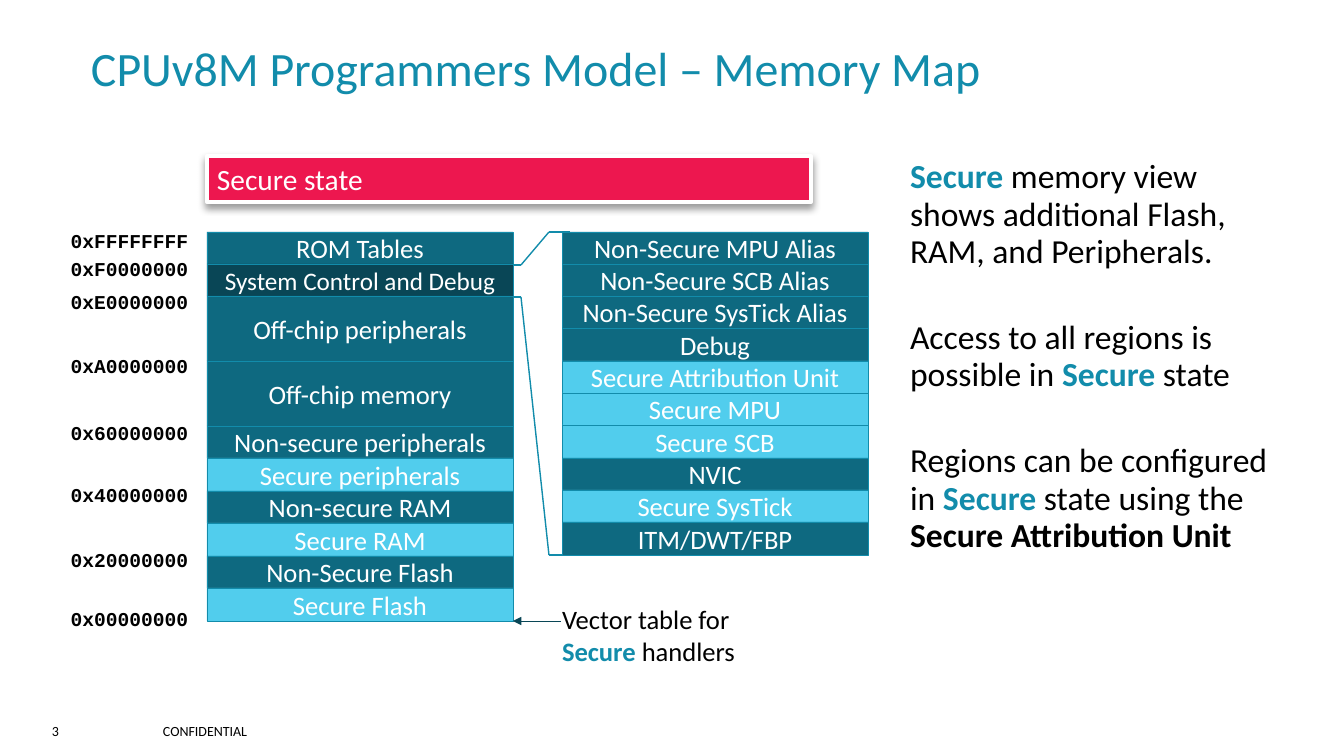
from dataclasses import dataclass
from itertools import pairwise

from lxml.etree import SubElement
from pptx import Presentation
from pptx.dml.color import RGBColor
from pptx.enum.shapes import MSO_CONNECTOR, MSO_SHAPE
from pptx.enum.text import MSO_ANCHOR, PP_ALIGN
from pptx.oxml.ns import qn
from pptx.util import Emu, Pt

SCALE = 914400 / 100.8
BLACK = RGBColor(0, 0, 0)
WHITE = RGBColor(255, 255, 255)
TEAL = RGBColor(0x12, 0x8C, 0xAB)
DEEP = RGBColor(0x0E, 0x69, 0x80)
DARK = RGBColor(0x09, 0x46, 0x56)
LIGHT = RGBColor(0x51, 0xCD, 0xED)
RED = RGBColor(0xED, 0x17, 0x4F)


@dataclass(frozen=True)
class Box:
    """A place on the slide, in pixels."""
    left: int
    top: int
    width: int
    height: int


@dataclass(frozen=True)
class Font:
    """The look of a run."""
    size: float
    color: RGBColor = BLACK
    bold: bool = False
    name: str = "Calibri"


@dataclass(frozen=True)
class Region:
    """One block of a memory map; units is its relative height."""
    label: str
    fill: RGBColor = DEEP
    units: int = 1
    size: int = 19


def px(value: int) -> Emu:
    """Turn pixels into EMU."""
    return Emu(round(value * SCALE))


def place(box: Box) -> tuple[Emu, Emu, Emu, Emu]:
    """Give the four lengths of a box in EMU."""
    return px(box.left), px(box.top), px(box.width), px(box.height)


def set_frame(frame, pad_x: int = 0, pad_y: int = 0) -> None:
    """Set wrapping and margins of a text frame."""
    frame.word_wrap = True
    frame.margin_left = frame.margin_right = px(pad_x)
    frame.margin_top = frame.margin_bottom = px(pad_y)


def add_run(para, text: str, font: Font) -> None:
    """Add one run to a paragraph."""
    run = para.add_run()
    run.text = text
    run.font.size, run.font.name = Pt(font.size), font.name
    run.font.bold = font.bold
    run.font.color.rgb = font.color


def add_text(slide, box: Box, pad_x: int = 0, pad_y: int = 0):
    """Add a text box and return its frame."""
    frame = slide.shapes.add_textbox(*place(box)).text_frame
    set_frame(frame, pad_x, pad_y)
    return frame


def add_label(slide, box: Box, text: str, font: Font) -> None:
    """Add a text box with a single run."""
    add_run(add_text(slide, box).paragraphs[0], text, font)


def add_block(slide, box: Box, fill: RGBColor, line: RGBColor, weight: float):
    """Add a filled rectangle without a shadow."""
    shape = slide.shapes.add_shape(MSO_SHAPE.RECTANGLE, *place(box))
    shape.shadow.inherit = False
    shape.fill.solid()
    shape.fill.fore_color.rgb = fill
    shape.line.color.rgb, shape.line.width = line, Pt(weight)
    return shape


def add_stack(slide, box: Box, regions: list[Region]) -> None:
    """Fill a box with regions from top to bottom."""
    total = sum(region.units for region in regions)
    start = 0
    for region in regions:
        end = start + region.units
        top, low = (box.top + box.height * unit // total for unit in (start, end))
        shape = add_block(slide, Box(box.left, top, box.width, low - top),
                          region.fill, TEAL, 0.5)
        set_frame(shape.text_frame)
        shape.text_frame.vertical_anchor = MSO_ANCHOR.MIDDLE
        para = shape.text_frame.paragraphs[0]
        para.alignment = PP_ALIGN.CENTER
        add_run(para, region.label, Font(region.size, WHITE))
        start = end


def add_line(slide, start: tuple[int, int], end: tuple[int, int],
             color: RGBColor, weight: float):
    """Add a straight line without a shadow."""
    line = slide.shapes.add_connector(
        MSO_CONNECTOR.STRAIGHT, *map(px, start), *map(px, end))
    line.line.color.rgb, line.line.width = color, Pt(weight)
    SubElement(line._element.spPr, qn("a:effectLst"))
    return line


def add_shadow(shape) -> None:
    """Drop a soft shadow below a shape."""
    effects = shape._element.spPr.find(qn("a:effectLst"))
    outer = SubElement(effects, qn("a:outerShdw"), blurRad=str(Pt(5.2)),
                       dist=str(Pt(3)), dir="5400000", rotWithShape="0")
    color = SubElement(outer, qn("a:srgbClr"), val=str(BLACK))
    SubElement(color, qn("a:alpha"), val="40000")


MAP = [
    Region("ROM Tables"),
    Region("System Control and Debug", DARK, size=18),
    Region("Off-chip peripherals", units=2),
    Region("Off-chip memory", units=2),
    Region("Non-secure peripherals"), Region("Secure peripherals", LIGHT),
    Region("Non-secure RAM"), Region("Secure RAM", LIGHT),
    Region("Non-Secure Flash"), Region("Secure Flash", LIGHT),
]
SYSTEM = [
    Region("Non-Secure MPU Alias"), Region("Non-Secure SCB Alias"),
    Region("Non-Secure SysTick Alias"), Region("Debug"),
    Region("Secure Attribution Unit", LIGHT), Region("Secure MPU", LIGHT),
    Region("Secure SCB", LIGHT), Region("NVIC"),
    Region("Secure SysTick", LIGHT), Region("ITM/DWT/FBP"),
]
MARKS = {
    "0xFFFFFFFF": 222, "0xF0000000": 250, "0xE0000000": 283, "0xA0000000": 347,
    "0x60000000": 414, "0x40000000": 476, "0x20000000": 541, "0x00000000": 600,
}
BODY, KEY, STRONG = Font(24), Font(24, TEAL, True), Font(24, bold=True)
NOTES = [
    [("Secure ", KEY),
     ("memory view shows additional Flash, RAM, and Peripherals.", BODY)],
    [("Access to all regions is possible in ", BODY), ("Secure ", KEY),
     ("state", BODY)],
    [("Regions can be configured in ", BODY), ("Secure", KEY),
     (" state using the", BODY), None, ("Secure Attribution Unit", STRONG)],
]

deck = Presentation()
deck.slide_width, deck.slide_height = px(1344), px(756)
slide = deck.slides.add_slide(deck.slide_layouts[6])

add_label(slide, Box(163, 723, 144, 26), "CONFIDENTIAL", Font(10))
add_label(slide, Box(52, 723, 100, 26), "3", Font(10))
add_label(slide, Box(91, 39, 1117, 61),
          "CPUv8M Programmers Model – Memory Map", Font(34.2, TEAL))

for near, far in ((265, 232), (297, 555)):
    for start, end in pairwise([(513, near), (521, near), (549, far), (570, far)]):
        add_line(slide, start, end, TEAL, 1)
add_stack(slide, Box(207, 232, 306, 389), MAP)
add_stack(slide, Box(562, 232, 306, 323), SYSTEM)

state = add_block(slide, Box(207, 156, 604, 46), RED, WHITE, 3)
add_shadow(state)
set_frame(state.text_frame, 10, 5)
state.text_frame.vertical_anchor = MSO_ANCHOR.TOP
title = state.text_frame.paragraphs[0]
title.alignment = PP_ALIGN.LEFT
add_run(title, "Secure state", Font(21, WHITE))

arrow = add_line(slide, (561, 621), (513, 621), DARK, 0.5)
SubElement(arrow.line._get_or_add_ln(), qn("a:tailEnd"), type="triangle")
vector = add_text(slide, Box(549, 596, 213, 78), 13, 7).paragraphs[0]
add_run(vector, "Vector table for", Font(19))
vector.add_line_break()
add_run(vector, "Secure", Font(19, TEAL, True))
add_run(vector, " handlers", Font(19))

notes = add_text(slide, Box(910, 158, 361, 462))
for index, runs in enumerate(NOTES):
    para = notes.add_paragraph() if index else notes.paragraphs[0]
    para.line_spacing = Pt(26.7)
    para.space_before = Pt(34.7 if index else 4)
    for part in runs:
        if part:
            add_run(para, *part)
        else:
            para.add_line_break()

for mark, top in MARKS.items():
    para = add_text(slide, Box(53, top, 153, 21), 13, 7).paragraphs[0]
    para.alignment = PP_ALIGN.CENTER
    add_run(para, mark, Font(14, bold=True, name="Courier New"))

deck.save("out.pptx")
